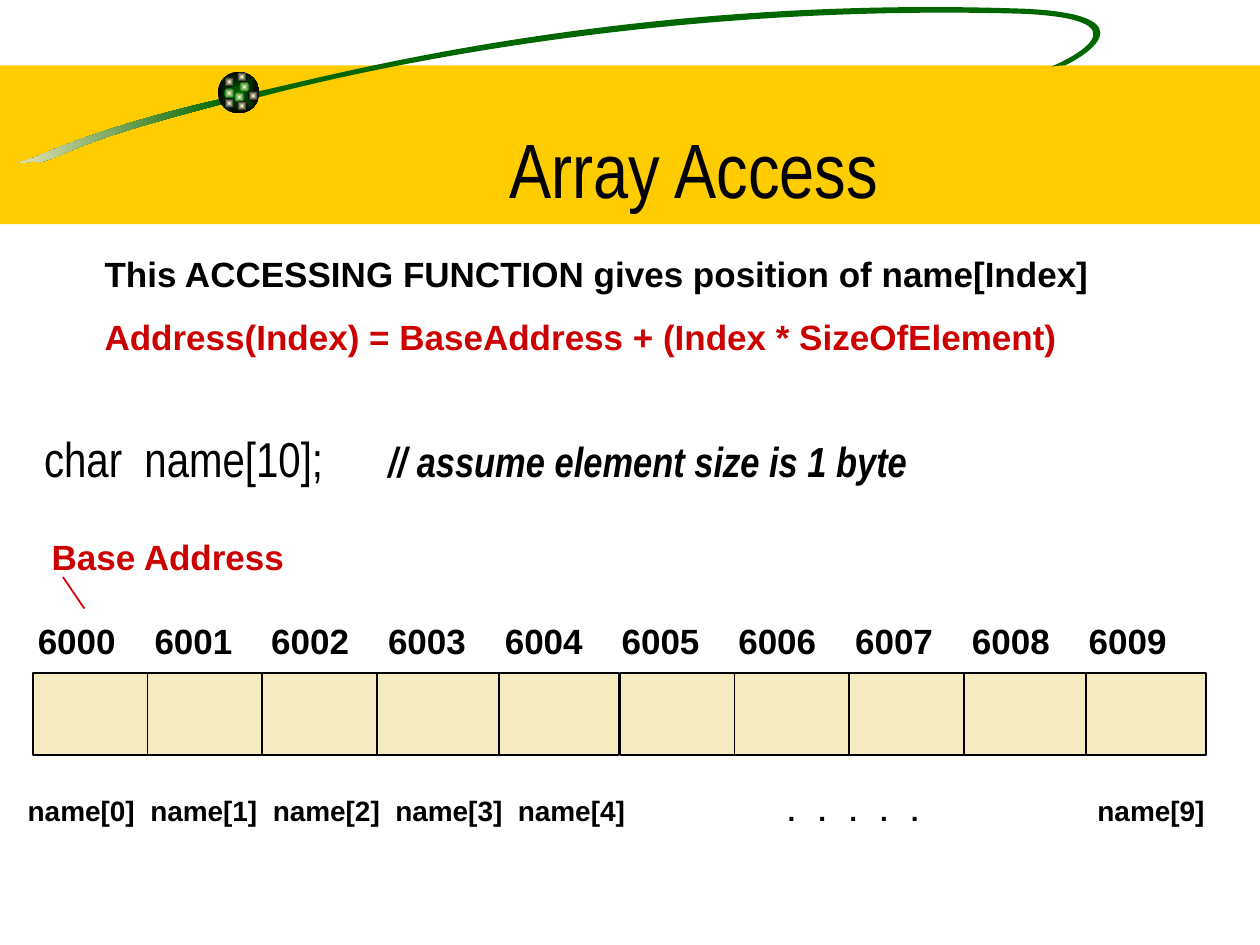
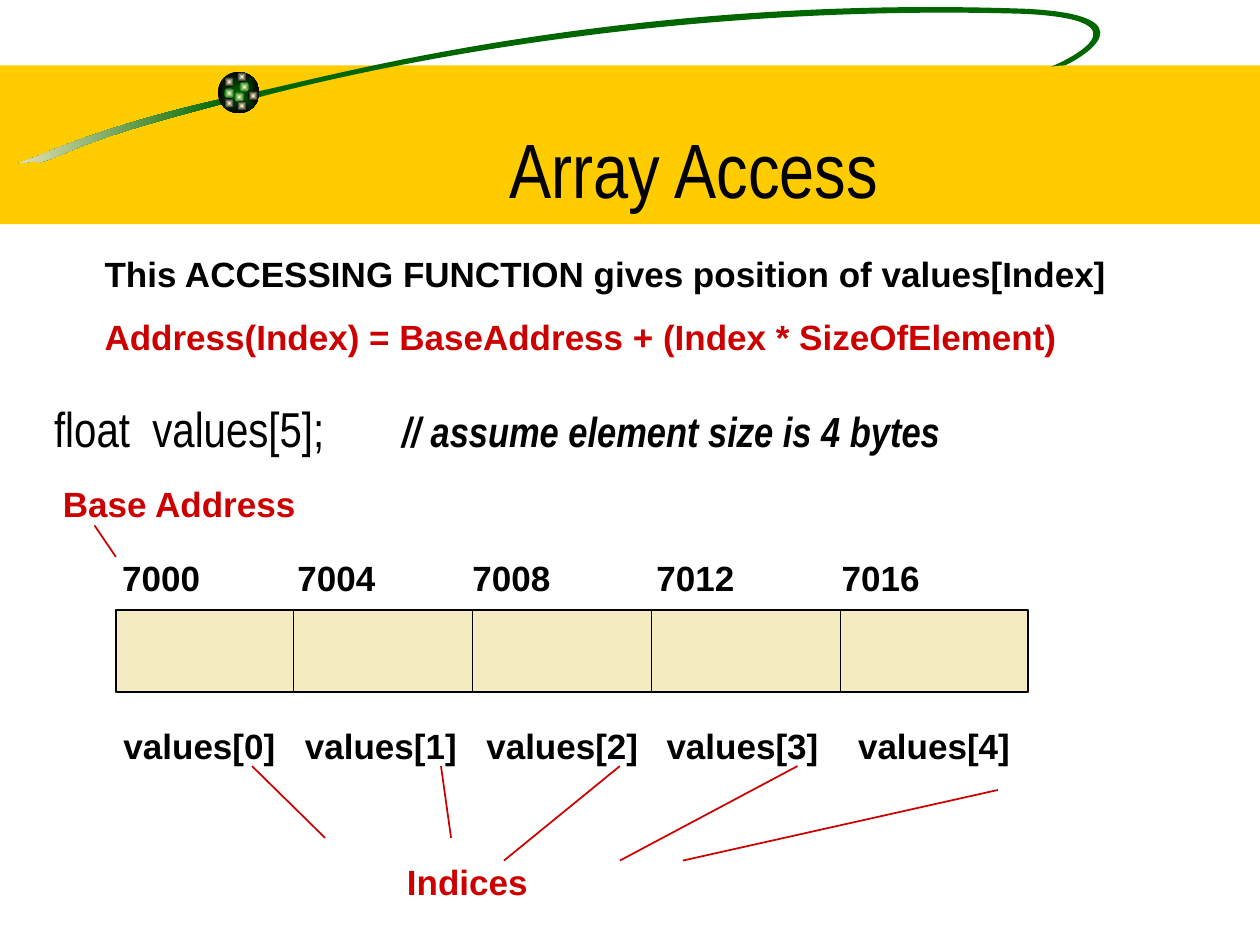
from dataclasses import dataclass

from lxml.etree import SubElement
from pptx import Presentation
from pptx.dml.color import RGBColor
from pptx.enum.shapes import MSO_CONNECTOR, MSO_SHAPE
from pptx.enum.text import MSO_ANCHOR, PP_ALIGN
from pptx.oxml.ns import qn
from pptx.util import Inches, Pt


@dataclass(frozen=True)
class Theme:
    ink: str = "000000"
    accent: str = "CC0000"
    band: str = "FFCC00"
    swoosh: str = "006600"
    cell: str = "F5EBC1"
    sparkle: str = "FFFFCC"
    heading_font: str = "Arial Narrow"
    body_font: str = "Arial"
    title_size: int = 44
    code_size: int = 28
    remark_size: int = 24
    body_size: int = 20
    small_size: int = 16


def spread_out(first, last, texts):
    gap = (last - first) / (len(texts) - 1)
    return [(first + gap * i, text) for i, text in enumerate(texts)]


THEME = Theme()
TITLE = "Array Access"
FORMULA = "Address(Index) = BaseAddress + (Index * SizeOfElement)"

LESSONS = [
    dict(
        intro="This ACCESSING FUNCTION gives position of name[Index]",
        code="char  name[10];", remark="// assume element size is 1 byte",
        code_at=(0.35, 3.4), remark_x=3.08,
        base_at=(0.41, 4.25), pointer=((0.5, 4.58), (0.67, 4.83)),
        addresses=spread_out(0.3, 8.64, [str(6000 + i) for i in range(10)]),
        address_y=4.92,
        blocks=[0.26, 4.92], block_y=5.34, block_width=4.65,
        dividers=[0.91, 1.82, 2.73, 3.7],
        elements=spread_out(0.22, 4.11, [f"name[{i}]" for i in range(5)])
        + spread_out(6.25, 7.23, ["."] * 5) + [(8.71, "name[9]")],
        element_y=6.3, element_size=THEME.small_size,
        indices_at=None, index_lines=[],
    ),
    dict(
        intro="This ACCESSING FUNCTION gives position of values[Index]",
        code="float  values[5];", remark="// assume element size is 4 bytes",
        code_at=(0.43, 3.16), remark_x=3.19,
        base_at=(0.5, 3.83), pointer=((0.75, 4.17), (0.92, 4.42)),
        addresses=[(x, str(7000 + 4 * i))
                   for i, x in enumerate([0.97, 2.36, 3.75, 5.21, 6.68])],
        address_y=4.42,
        blocks=[0.92], block_y=4.84, block_width=7.24,
        dividers=[1.41, 2.83, 4.25, 5.75],
        elements=[(x, f"values[{i}]")
                  for i, x in enumerate([0.98, 2.42, 3.86, 5.29, 6.81])],
        element_y=5.75, element_size=THEME.body_size,
        indices_at=(3.23, 6.83),
        index_lines=[((2, 6.08), (2.58, 6.65)), ((3.5, 6.08), (3.58, 6.65)),
                     ((4.92, 6.08), (4, 6.83)), ((6.33, 6.08), (4.92, 6.83)),
                     ((7.92, 6.27), (5.42, 6.83))],
    ),
]

TAIL = [(1.78, 0.78),
        (0.91, 0.98), (0.49, 1.16), (0.25, 1.26),
        (0.01, 1.34), (0.26, 1.26), (0.31, 1.29),
        (0.57, 1.22), (0.57, 1.13), (1.79, 0.82),
        (1.79, 0.82), (1.78, 0.78), (1.78, 0.78)]
LOOP = [(2.02, 0.73),
        (2.46, 0.65), (4.86, -0.05), (8.14, 0.07),
        (9.17, 0.12), (8.57, 0.47), (8.45, 0.52),
        (8.45, 0.52), (8.38, 0.52), (8.34, 0.53),
        (8.44, 0.49), (9.16, 0.16), (8.13, 0.11),
        (5.48, 0.03), (3.2, 0.47), (2.06, 0.77),
        (2.06, 0.77), (2.02, 0.73), (2.02, 0.73)]
SPARKLES = [(1.9, 0.65, THEME.swoosh), (1.78, 0.61, THEME.ink),
            (1.78, 0.7, THEME.swoosh), (1.86, 0.73, THEME.swoosh),
            (1.97, 0.72, THEME.ink), (1.88, 0.8, THEME.ink),
            (1.78, 0.78, THEME.ink), (1.88, 0.57, THEME.ink)]


def rgb(colour):
    return RGBColor.from_string(colour)


def paint(shape, colour, outline=None):
    shape.shadow.inherit = False
    shape.fill.solid()
    shape.fill.fore_color.rgb = rgb(colour)
    if outline:
        shape.line.color.rgb = rgb(outline)
        shape.line.width = Pt(1)
    else:
        shape.line.fill.background()


def blend(shape, first, last, from_centre=False):
    shape.shadow.inherit = False
    shape.line.fill.background()
    shape.fill.gradient()
    shape.fill.gradient_angle = 180
    for stop, position, colour in zip(shape.fill.gradient_stops, (0, 1), (first, last)):
        stop.position = position
        stop.color.rgb = rgb(colour)
    if from_centre:
        gradient = shape.fill._xPr.find(qn("a:gradFill"))
        gradient.remove(gradient.find(qn("a:lin")))
        spread = SubElement(gradient, qn("a:path"))
        spread.set("path", "rect")
        centre = SubElement(spread, qn("a:fillToRect"))
        for side in "ltrb":
            centre.set(side, "50000")


def add_preset(slide, preset, x, y, width, height):
    return slide.shapes.add_shape(preset, Inches(x), Inches(y), Inches(width), Inches(height))


def add_curve(slide, outline):
    start, *controls = [(Inches(x), Inches(y)) for x, y in outline]
    builder = slide.shapes.build_freeform(*start)
    builder.add_line_segments(controls, close=True)
    shape = builder.convert_to_shape()
    segments = list(shape._element.iter(qn("a:lnTo")))
    for first in range(0, len(controls), 3):
        bend, *others = segments[first:first + 3]
        bend.tag = qn("a:cubicBezTo")
        for other in others:
            bend.append(other[0])
            other.getparent().remove(other)
    return shape


def add_line(slide, start, end, colour):
    line = slide.shapes.add_connector(
        MSO_CONNECTOR.STRAIGHT, *(Inches(v) for v in (*start, *end)))
    line.line.color.rgb = rgb(colour)
    line.line.width = Pt(1)
    SubElement(line._element.spPr, qn("a:effectLst"))


def add_frame(slide, x, y, width, height):
    frame = slide.shapes.add_textbox(
        Inches(x), Inches(y), Inches(width), Inches(height)).text_frame
    frame.word_wrap = True
    frame.margin_left = frame.margin_right = frame.margin_top = frame.margin_bottom = 0
    return frame


def style(paragraph, size, colour=THEME.ink, font=THEME.body_font, bold=True):
    paragraph.font.size = Pt(size)
    paragraph.font.name = font
    paragraph.font.bold = bold
    paragraph.font.color.rgb = rgb(colour)


def set_tabs(paragraph, stops):
    tabs = SubElement(paragraph._p.get_or_add_pPr(), qn("a:tabLst"))
    for stop in stops:
        tab = SubElement(tabs, qn("a:tab"))
        tab.set("pos", str(Inches(stop)))
        tab.set("algn", "l")


def add_label(slide, place, text, colour):
    label = add_frame(slide, *place, 2.5, 0.33).paragraphs[0]
    label.text = text
    style(label, THEME.body_size, colour)


def add_row(slide, labels, y, size):
    left = labels[0][0]
    row = add_frame(slide, left, y, 9.7 - left, 0.33).paragraphs[0]
    row.text = "\t".join(text for _, text in labels)
    set_tabs(row, [x - left for x, _ in labels[1:]])
    style(row, size)


def add_header(slide):
    paint(add_preset(slide, MSO_SHAPE.RECTANGLE, 0, 0.52, 10, 1.26), THEME.band)
    blend(add_curve(slide, TAIL), THEME.swoosh, THEME.cell)
    paint(add_curve(slide, LOOP), THEME.swoosh)
    blend(add_preset(slide, MSO_SHAPE.OVAL, 1.73, 0.57, 0.33, 0.33),
          THEME.swoosh, THEME.ink, from_centre=True)
    for x, y, rim in SPARKLES:
        blend(add_preset(slide, MSO_SHAPE.OVAL, x, y, 0.08, 0.08),
              THEME.sparkle, rim, from_centre=True)
    frame = add_frame(slide, 1.36, 0.55, 8.3, 1.15)
    frame.vertical_anchor = MSO_ANCHOR.BOTTOM
    title = frame.paragraphs[0]
    title.text = TITLE
    title.alignment = PP_ALIGN.CENTER
    style(title, THEME.title_size, font=THEME.heading_font, bold=False)


def add_function(slide, intro):
    frame = add_frame(slide, 0.83, 2, 8.2, 0.84)
    frame.text = f"{intro}\n{FORMULA}"
    statement, formula = frame.paragraphs
    style(statement, THEME.body_size)
    formula.space_before = Pt(12.5)
    style(formula, THEME.body_size, THEME.accent)


def add_declaration(slide, lesson):
    x, y = lesson["code_at"]
    declaration = add_frame(slide, x, y, 8.6, 0.45).paragraphs[0]
    set_tabs(declaration, [lesson["remark_x"] - x])
    style(declaration, THEME.code_size, font=THEME.heading_font, bold=False)
    declaration.add_run().text = lesson["code"] + "\t"
    remark = declaration.add_run()
    remark.text = lesson["remark"]
    remark.font.size = Pt(THEME.remark_size)
    remark.font.bold = remark.font.italic = True


def add_memory(slide, lesson):
    top = lesson["block_y"]
    for left in lesson["blocks"]:
        block = add_preset(slide, MSO_SHAPE.RECTANGLE, left, top, lesson["block_width"], 0.65)
        paint(block, THEME.cell, THEME.ink)
        for offset in lesson["dividers"]:
            x = left + offset
            add_line(slide, (x, top - 0.01), (x, top + 0.66), THEME.ink)
    add_row(slide, lesson["addresses"], lesson["address_y"], THEME.body_size)
    add_row(slide, lesson["elements"], lesson["element_y"], lesson["element_size"])


def add_lesson(deck, lesson):
    slide = deck.slides.add_slide(deck.slide_layouts[6])
    add_header(slide)
    add_function(slide, lesson["intro"])
    add_declaration(slide, lesson)
    add_memory(slide, lesson)
    add_label(slide, lesson["base_at"], "Base Address", THEME.accent)
    if lesson["indices_at"]:
        add_label(slide, lesson["indices_at"], "Indices", THEME.accent)
    for start, end in [lesson["pointer"], *lesson["index_lines"]]:
        add_line(slide, start, end, THEME.accent)


def main():
    deck = Presentation()
    deck.slide_width, deck.slide_height = Inches(10), Inches(7.5)
    for lesson in LESSONS:
        add_lesson(deck, lesson)
    deck.save("out.pptx")


if __name__ == "__main__":
    main()
